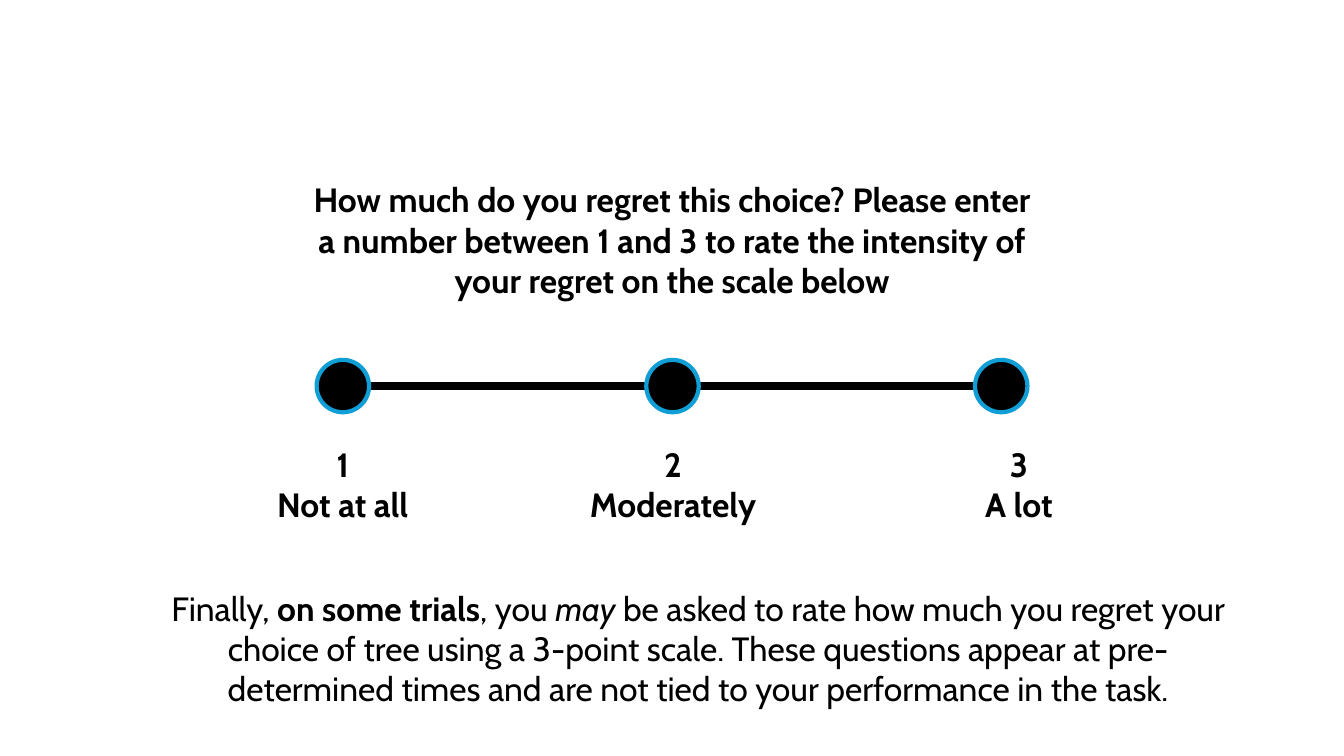
from pptx import Presentation
from pptx.dml.color import RGBColor
from pptx.enum.shapes import MSO_CONNECTOR, MSO_SHAPE
from pptx.enum.text import MSO_AUTO_SIZE, PP_ALIGN
from pptx.oxml.ns import qn
from pptx.util import Pt
from lxml.etree import SubElement
from dataclasses import dataclass

PX = 9144


@dataclass
class Theme:
    ink: RGBColor = RGBColor(0, 0, 0)
    ring: RGBColor = RGBColor(0x0F, 0x9E, 0xD5)
    font: str = "Cabin"
    size: Pt = Pt(24)
    track_width: Pt = Pt(6)
    ring_width: Pt = Pt(3)


theme = Theme()
presentation = Presentation()
presentation.slide_width = 1333 * PX
presentation.slide_height = 750 * PX
slide = presentation.slides.add_slide(presentation.slide_layouts[6])


def add_text(left, top, width, height, paragraphs, wrap=True):
    box = slide.shapes.add_textbox(left * PX, top * PX, width * PX, height * PX)
    frame = box.text_frame
    frame.word_wrap = wrap
    frame.auto_size = MSO_AUTO_SIZE.SHAPE_TO_FIT_TEXT
    frame.text = "\n".join(paragraphs)
    for paragraph in frame.paragraphs:
        paragraph.alignment = PP_ALIGN.CENTER
        paragraph.font.name = theme.font
        paragraph.font.size = theme.size
        paragraph.font.color.rgb = theme.ink
        paragraph.font.bold = True
    return frame


scale_y = 383
dot_size = 52
ratings = [
    (340, 340, 158, "1", "Not at all"),
    (667, 667, 193, "2", "Moderately"),
    (993, 1010, 89, "3", "A lot"),
]

track = slide.shapes.add_connector(
    MSO_CONNECTOR.STRAIGHT,
    ratings[0][0] * PX, scale_y * PX, ratings[-1][0] * PX, scale_y * PX,
)
track.line.color.rgb = theme.ink
track.line.width = theme.track_width
SubElement(track._element.spPr, qn("a:effectLst"))

for dot_x, label_x, label_width, number, meaning in ratings:
    dot = slide.shapes.add_shape(
        MSO_SHAPE.OVAL,
        (dot_x - dot_size // 2) * PX, (scale_y - dot_size // 2) * PX,
        dot_size * PX, dot_size * PX,
    )
    dot.shadow.inherit = False
    dot.fill.solid()
    dot.fill.fore_color.rgb = theme.ink
    dot.line.color.rgb = theme.ring
    dot.line.width = theme.ring_width
    add_text(label_x - label_width // 2, 435, label_width, 91, [number, meaning], wrap=False)

add_text(291, 173, 751, 131, [
    "How much do you regret this choice? Please enter a number between 1 and 3 "
    "to rate the intensity of your regret on the scale below"
])

explanation = add_text(142, 578, 1101, 131, [""]).paragraphs[0]
explanation.font.bold = False
for wording, bold, italic in [
    ("Finally, ", None, None),
    ("on some trials", True, None),
    (", you ", None, None),
    ("may", None, True),
    (" be asked to rate how much you regret your choice of tree using a 3-point scale. "
     "These questions appear at pre-determined times and are not tied to your "
     "performance in the task.", None, None),
]:
    run = explanation.add_run()
    run.text = wording
    run.font.bold = bold
    run.font.italic = italic

presentation.save("out.pptx")
